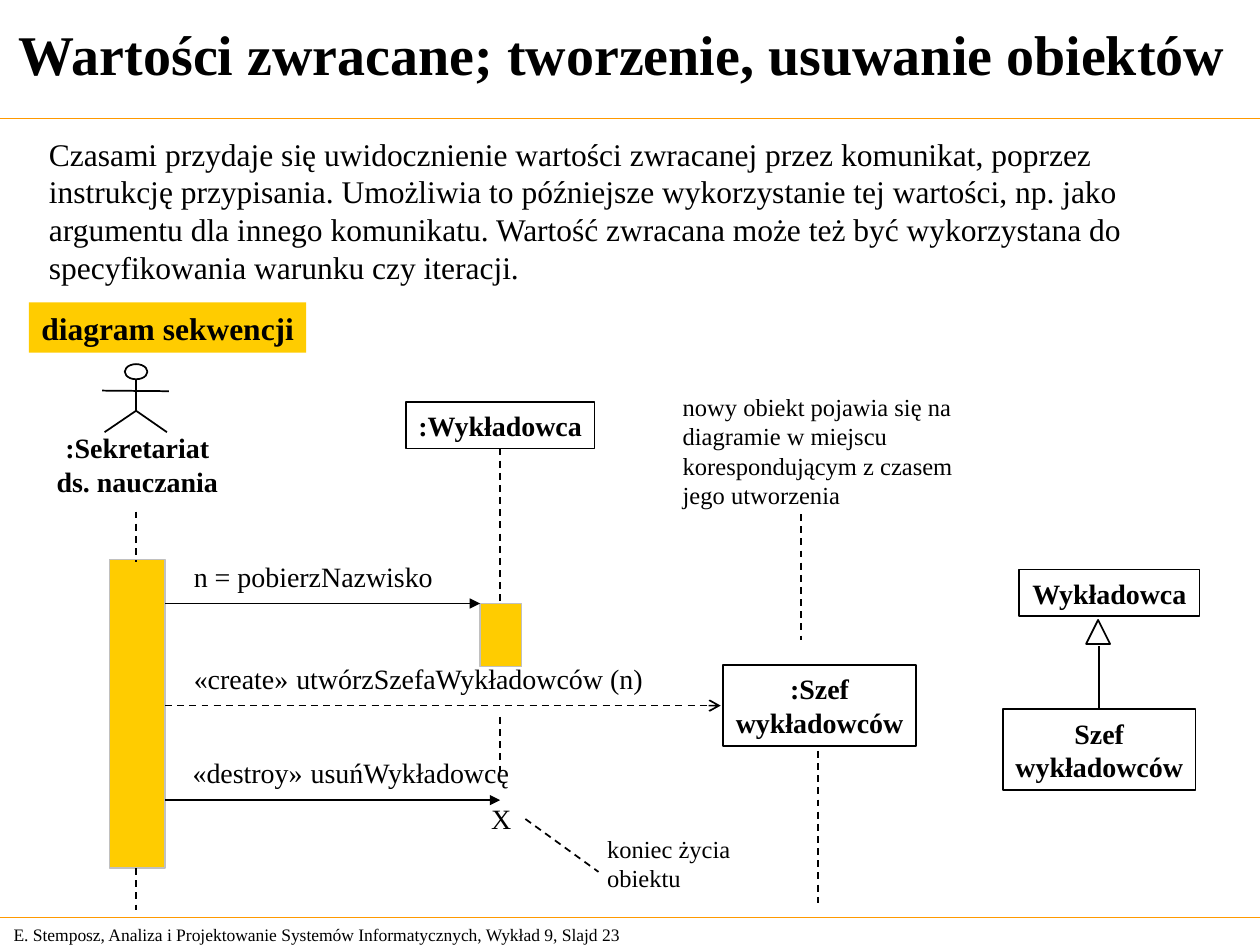
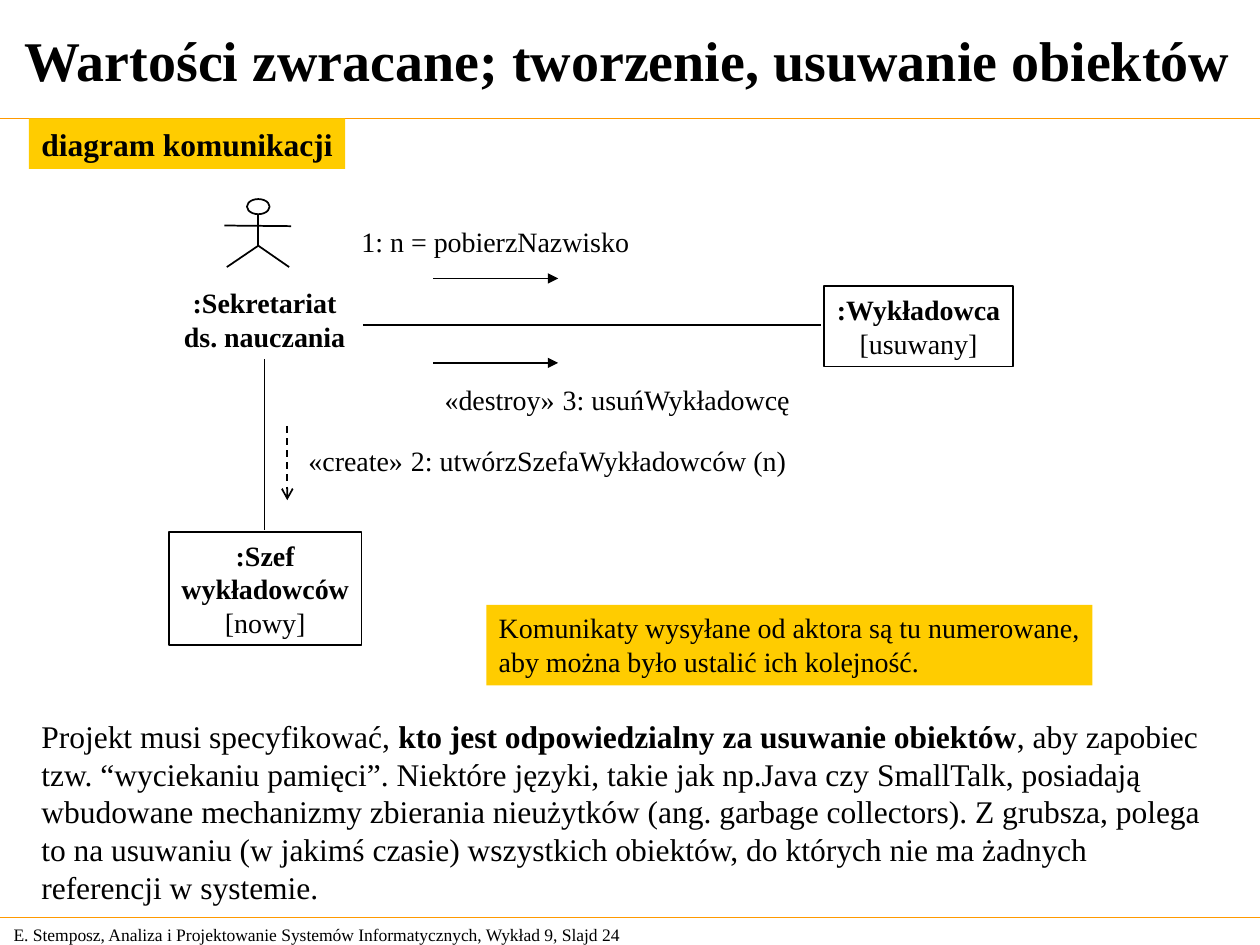
import pptx
import pptx.dml.color
import pptx.enum.dml
import pptx.enum.shapes
import pptx.enum.text
import pptx.oxml
import pptx.oxml.ns
import pptx.util

COLUMNS, ROWS = 100, 75
SLIDE_WIDTH = pptx.util.Inches(10)
SLIDE_HEIGHT = pptx.util.Inches(7.5)
FONT = "Times New Roman"
INK, AMBER, SILVER, ORANGE = "000000", "FFCC00", "C0C0C0", "FF9900"
TITLE = "Wartości zwracane; tworzenie, usuwanie obiektów"
FOOTER = "E. Stemposz, Analiza i Projektowanie Systemów Informatycznych, Wykład 9, Slajd {}"
FORM = pptx.enum.shapes.MSO_SHAPE
ALIGN = pptx.enum.text.PP_ALIGN
ANCHOR = pptx.enum.text.MSO_ANCHOR


def color(hex_code):
    return pptx.dml.color.RGBColor.from_string(hex_code)


def across(columns):
    return round(SLIDE_WIDTH * columns / COLUMNS)


def down(rows):
    return round(SLIDE_HEIGHT * rows / ROWS)


def area(left, top, width, height):
    return across(left), down(top), across(width), down(height)


def write(holder, paragraphs, size=16, bold=False, align=ALIGN.LEFT,
          anchor=ANCHOR.TOP, wrap=False):
    frame = holder.text_frame
    frame.word_wrap = wrap
    frame.auto_size = pptx.enum.text.MSO_AUTO_SIZE.NONE
    frame.vertical_anchor = anchor
    for index, content in enumerate(paragraphs):
        paragraph = frame.add_paragraph() if index else frame.paragraphs[0]
        paragraph.alignment = align
        pieces = [(content, {})] if isinstance(content, str) else content
        for words, changes in pieces:
            run = paragraph.add_run()
            run.text = words
            run.font.name = FONT
            run.font.size = pptx.util.Pt(changes.get("size", size))
            run.font.bold = changes.get("bold", bold)
            run.font.color.rgb = color(INK)


def label(slide, place, *paragraphs, **style):
    write(slide.shapes.add_textbox(*area(*place)), paragraphs, **style)


def message(slide, place, stereotype, call):
    label(slide, place, [(stereotype, {}), (" ", {"size": 18}), (call, {})])


def block(shapes, place, form=FORM.RECTANGLE, fill=None, outline=INK):
    figure = shapes.add_shape(form, *area(*place))
    figure.shadow.inherit = False
    if fill:
        figure.fill.solid()
        figure.fill.fore_color.rgb = color(fill)
    else:
        figure.fill.background()
    if outline:
        figure.line.color.rgb = color(outline)
        figure.line.width = pptx.util.Pt(1)
    else:
        figure.line.fill.background()
    return figure


def object_box(shapes, place, *names, state=None):
    lines = list(names)
    if state:
        lines.append([(state, {"bold": False})])
    write(block(shapes, place), lines, bold=True, align=ALIGN.CENTER, anchor=ANCHOR.MIDDLE)


def activation(slide, place):
    block(slide.shapes, place, fill=AMBER, outline=SILVER)


def highlight(slide, place, *paragraphs, **style):
    write(block(slide.shapes, place, fill=AMBER, outline=None), paragraphs, **style)


def link(shapes, start, end, dashed=False, arrow=None, hue=INK, weight=1):
    connector = shapes.add_connector(
        pptx.enum.shapes.MSO_CONNECTOR.STRAIGHT,
        across(start[0]), down(start[1]), across(end[0]), down(end[1]))
    connector.line.color.rgb = color(hue)
    connector.line.width = pptx.util.Pt(weight)
    if dashed:
        connector.line.dash_style = pptx.enum.dml.MSO_LINE.DASH
    if arrow:
        tip = pptx.oxml.parse_xml(
            f'<a:tailEnd {pptx.oxml.ns.nsdecls("a")} type="{arrow}"/>')
        connector.line._get_or_add_ln().append(tip)
    connector._element.spPr.append(
        pptx.oxml.parse_xml(f'<a:effectLst {pptx.oxml.ns.nsdecls("a")}/>'))


def lifeline(slide, column, top, bottom):
    link(slide.shapes, (column, top), (column, bottom), dashed=True)


def actor(slide, center, top):
    parts = slide.shapes.add_group_shape().shapes
    block(parts, (center - 0.9, top, 1.8, 1.2), form=FORM.OVAL)
    hips = (center, top + 3.7)
    link(parts, (center, top + 1.25), hips)
    link(parts, (center - 2.7, top + 2.1), (center + 2.6, top + 2.15))
    for side in (-2.5, 2.45):
        link(parts, hips, (center + side, top + 5.4))


def start_slide(deck, number, title_place):
    slide = deck.slides.add_slide(deck.slide_layouts[5])
    for row in (9.4, 72.8):
        link(slide.shapes, (0, row), (COLUMNS, row), hue=ORANGE, weight=0.75)
    label(slide, (0.1, 72.8, 52.4, 2.7), FOOTER.format(number),
          size=10, anchor=ANCHOR.MIDDLE, wrap=True)
    title = slide.shapes.title
    title.left, title.top, title.width, title.height = area(*title_place)
    write(title, [TITLE], size=32, bold=True, align=ALIGN.CENTER,
          anchor=ANCHOR.MIDDLE, wrap=True)
    return slide


def inheritance(slide):
    parent = slide.shapes.add_group_shape().shapes
    object_box(parent, (80.9, 45.2, 14.3, 3.7), "Wykładowca")
    block(parent, (86.2, 49.2, 1.9, 1.9), form=FORM.FLOWCHART_EXTRACT)
    object_box(slide.shapes, (79.6, 56.3, 15.3, 6.4), "Szef", "wykładowców")
    link(slide.shapes, (87.2, 51.3), (87.2, 56.3))


def sequence_slide(deck):
    slide = start_slide(deck, 23, (0, 0, 98.8, 8.5))
    label(slide, (2.9, 10.2, 94.3, 13),
          "Czasami przydaje się uwidocznienie wartości zwracanej przez komunikat, poprzez "
          "instrukcję przypisania. Umożliwia to późniejsze wykorzystanie tej wartości, np. jako "
          "argumentu dla innego komunikatu. Wartość zwracana może też być wykorzystana do "
          "specyfikowania warunku czy iteracji.", size=18, wrap=True)
    highlight(slide, (2.3, 24, 22, 4), "diagram sekwencji", size=18, bold=True)

    secretary, lecturer, head = 10.8, 39.7, 64.9
    activation(slide, (8.7, 44.4, 4.4, 24.5))
    activation(slide, (38.1, 47.9, 3.3, 5))
    actor(slide, secretary, 28.9)
    label(slide, (3.2, 33.7, 15.4, 6.3), ":Sekretariat", "ds. nauczania",
          bold=True, align=ALIGN.CENTER)
    object_box(slide.shapes, (32.2, 31.9, 15, 3.7), ":Wykładowca")
    object_box(slide.shapes, (57.4, 52.8, 15.3, 6.4), ":Szef", "wykładowców")
    for column, top, bottom in ((secretary, 40.6, 44.6), (secretary, 68.9, 72.2),
                                (lecturer, 35.6, 47.9), (lecturer, 56.9, 61.5),
                                (head, 59.6, 71.7), (63.6, 40.8, 50.8)):
        lifeline(slide, column, top, bottom)

    link(slide.shapes, (13.1, 47.9), (38.1, 47.9), arrow="triangle")
    link(slide.shapes, (13.1, 56), (57.2, 56), dashed=True, arrow="arrow")
    link(slide.shapes, (13.1, 63.5), (lecturer, 63.5), arrow="triangle")
    label(slide, (14.4, 43.9, 21, 3.7), "n = pobierzNazwisko")
    message(slide, (14.4, 51.7, 37.7, 4), "«create»", "utwórzSzefaWykładowców (n)")
    message(slide, (14.3, 59.2, 27.2, 4), "«destroy»", "usuńWykładowcę")
    label(slide, (38, 63.1, 3.6, 3.7), "X")
    link(slide.shapes, (41.7, 65), (47.5, 69.2), dashed=True)
    label(slide, (47.2, 65.7, 11.8, 5.7), "koniec życia", "obiektu", size=14)
    label(slide, (53.2, 30.6, 23.7, 10.4),
          "nowy obiekt pojawia się na diagramie w miejscu "
          "korespondującym z czasem jego utworzenia", size=14, wrap=True)
    inheritance(slide)


def communication_slide(deck):
    slide = start_slide(deck, 24, (0, 0.4, 99.6, 8.5))
    highlight(slide, (2.3, 9.4, 25.1, 4), "diagram komunikacji", size=18, bold=True)
    actor(slide, 20.5, 15.8)
    label(slide, (13.6, 22.2, 14.8, 6.3), ":Sekretariat", "ds. nauczania",
          bold=True, align=ALIGN.CENTER)
    object_box(slide.shapes, (13.4, 42.2, 15.3, 9), ":Szef", "wykładowców", state="[nowy]")
    object_box(slide.shapes, (65.4, 22.7, 15, 6.4), ":Wykładowca", state="[usuwany]")
    link(slide.shapes, (21, 28.5), (21, 42.1))
    link(slide.shapes, (28.8, 25.8), (65.2, 25.8))

    for row in (22.1, 28.8):
        link(slide.shapes, (34.4, row), (44.3, row), arrow="triangle")
    link(slide.shapes, (22.8, 33.8), (22.8, 39.7), dashed=True, arrow="arrow")
    label(slide, (27.7, 17.3, 23.2, 3.7), "1: n = pobierzNazwisko")
    message(slide, (23.5, 34.4, 40, 4), "«create»", "2: utwórzSzefaWykładowców (n)")
    message(slide, (34.3, 29.6, 29.5, 4), "«destroy»", "3: usuńWykładowcę")
    highlight(slide, (38.6, 48, 48.1, 6.4),
              "Komunikaty wysyłane od aktora są tu numerowane,",
              "aby można było ustalić ich kolejność.")
    label(slide, (2.3, 56.4, 95.2, 16), [
        ("Projekt musi specyfikować, ", {}),
        ("kto jest odpowiedzialny za usuwanie obiektów", {"bold": True}),
        (", aby zapobiec tzw. “wyciekaniu pamięci”. Niektóre języki, takie jak np.Java czy "
         "SmallTalk, posiadają wbudowane mechanizmy zbierania nieużytków (ang. garbage "
         "collectors). Z grubsza, polega to na usuwaniu (w jakimś czasie) wszystkich obiektów, "
         "do których nie ma żadnych referencji w systemie.", {})], size=18, wrap=True)


def main():
    deck = pptx.Presentation()
    deck.slide_width, deck.slide_height = SLIDE_WIDTH, SLIDE_HEIGHT
    sequence_slide(deck)
    communication_slide(deck)
    deck.save("out.pptx")


if __name__ == "__main__":
    main()
